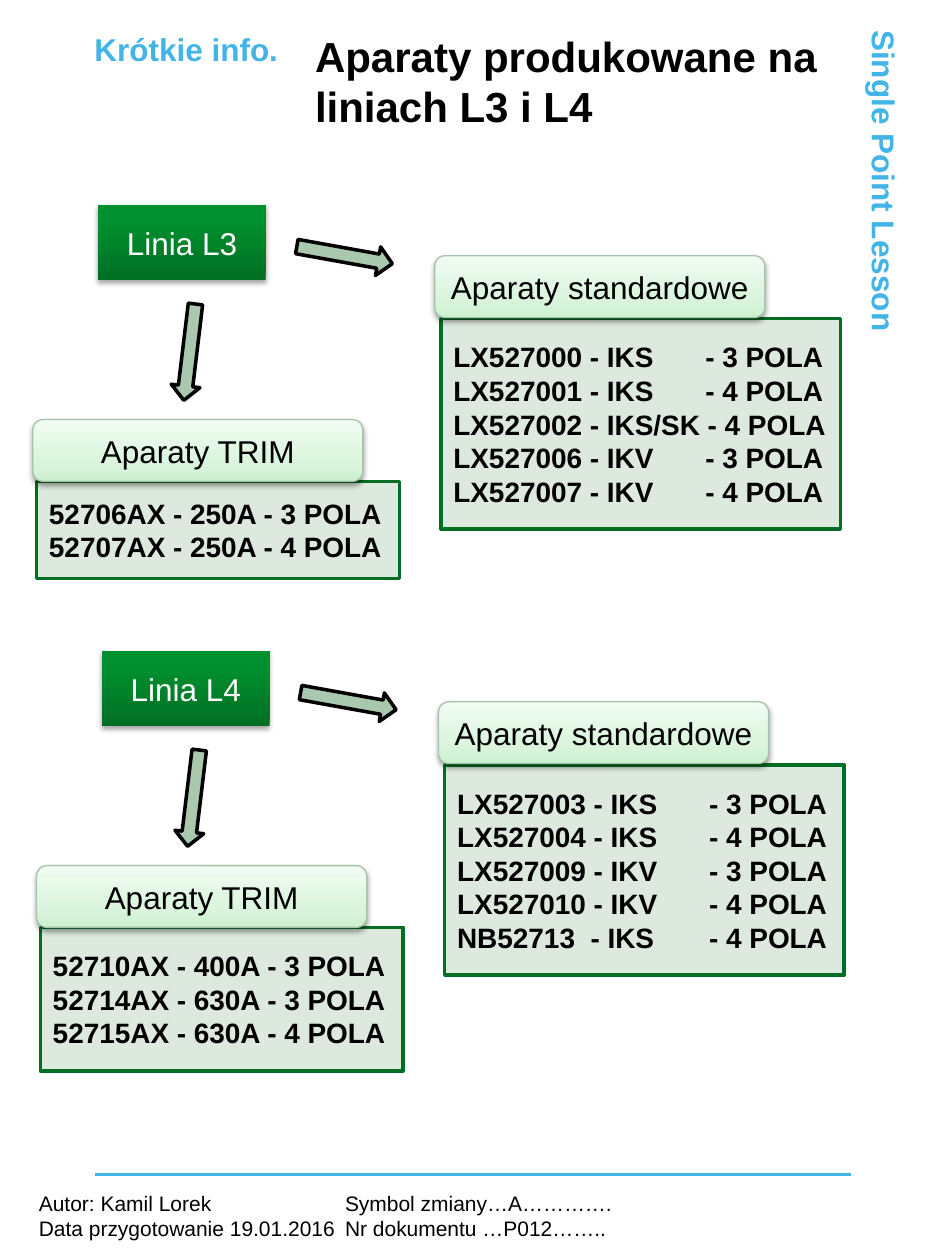
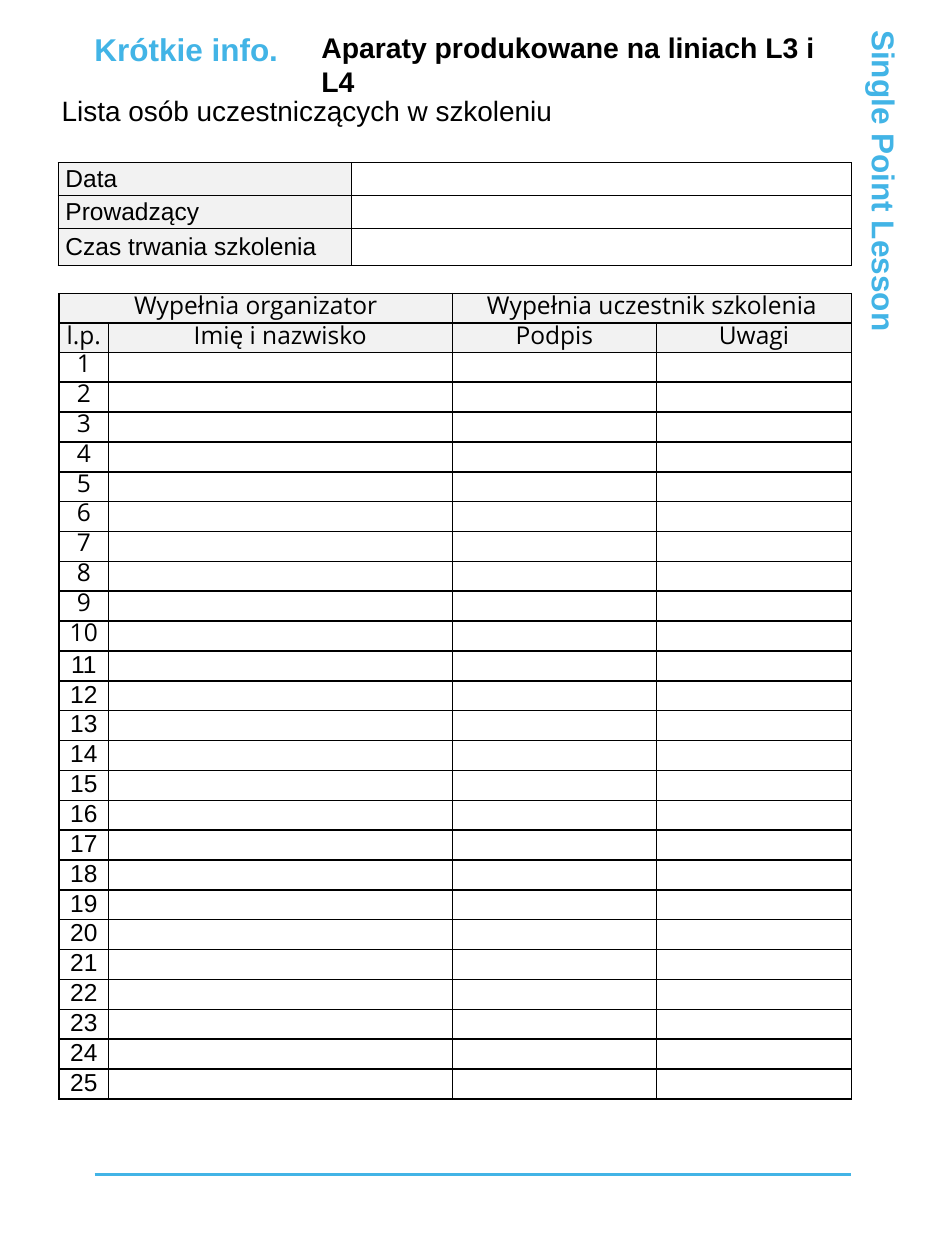
from copy import deepcopy
from dataclasses import dataclass

from lxml import etree
from pptx import Presentation
from pptx.dml.color import RGBColor
from pptx.enum.shapes import MSO_CONNECTOR, MSO_SHAPE, PP_PLACEHOLDER
from pptx.enum.text import MSO_ANCHOR, MSO_AUTO_SIZE, PP_ALIGN
from pptx.oxml.ns import qn
from pptx.util import Inches, Pt

RECT, ROUND, ARROW = (MSO_SHAPE.RECTANGLE, MSO_SHAPE.ROUNDED_RECTANGLE,
                      MSO_SHAPE.RIGHT_ARROW)
TITLE = PP_PLACEHOLDER.TITLE
LEFT, MID = PP_ALIGN.LEFT, PP_ALIGN.CENTER
TOP, CENTER = MSO_ANCHOR.TOP, MSO_ANCHOR.MIDDLE


@dataclass(frozen=True)
class Theme:
    font: str = "Arial"
    grid_font: str = "Open Sans"
    ink: str = "000000"
    white: str = "FFFFFF"
    sky: str = "42B4E6"
    edge: str = "006E24"
    pale: str = "DDE9DE"
    arrow: str = "AAC8AD"
    rim: str = "A6C4A9"
    gray: str = "F2F2F2"
    green: tuple = ((0, "006F24"), (80, "00902F"), (100, "00912F"))
    mint: tuple = ((0, "CEF1D1"), (35, "DCF5DE"), (100, "F1FCF2"))
    head: float = 24
    small_head: float = 16.2
    label: float = 18
    body: float = 16
    cell: float = 14
    foot: float = 12


T = Theme()
HEADING = "Aparaty produkowane na liniach L3 i L4"

# Each line: name, offset, TRIM box height, TRIM items, standard items
LINES = [
    ("Linia L3", 0, 0, 0.77,
     ["52706AX - 250A - 3 POLA", "52707AX - 250A - 4 POLA"],
     ["LX527000 - IKS \t- 3 POLA", "LX527001 - IKS \t- 4 POLA",
      "LX527002 - IKS/SK - 4 POLA", "LX527006 - IKV \t- 3 POLA",
      "LX527007 - IKV\t- 4 POLA"]),
    ("Linia L4", 0.03, 3.54, 1.14,
     ["52710AX - 400A - 3 POLA", "52714AX - 630A - 3 POLA",
      "52715AX - 630A - 4 POLA"],
     ["LX527003 - IKS \t- 3 POLA", "LX527004 - IKS \t- 4 POLA",
      "LX527009 - IKV \t- 3 POLA", "LX527010 - IKV \t- 4 POLA",
      "NB52713  - IKS\t- 4 POLA"]),
]


def rgb(code):
    return RGBColor.from_string(code)


def area(x, y, w, h):
    return Inches(x), Inches(y), Inches(w), Inches(h)


# Text
def write(frame, lines, size, color=T.ink, bold=False, align=LEFT,
          font=T.font):
    for i, line in enumerate(lines):
        para = frame.paragraphs[0] if i == 0 else frame.add_paragraph()
        para.alignment = align
        run = para.add_run()
        run.text = line
        run.font.name = font
        run.font.size = Pt(size)
        run.font.bold = bold
        run.font.color.rgb = rgb(color)


def inset(item, x=0, y=0):
    item.margin_left = item.margin_right = Inches(x)
    item.margin_top = item.margin_bottom = Inches(y)


def add_text(slide, box, lines, size, pad=0, **style):
    shape = slide.shapes.add_textbox(*area(*box))
    frame = shape.text_frame
    frame.word_wrap = True
    inset(frame, pad, pad / 2)
    write(frame, lines, size, **style)
    return shape


def set_title(slide, x, w, size):
    title = slide.shapes.title
    title.left, title.top, title.width, title.height = area(x, 0.24, w, 0.45)
    frame = title.text_frame
    frame.auto_size = MSO_AUTO_SIZE.NONE
    frame.vertical_anchor = TOP
    inset(frame)
    write(frame, [HEADING], size, bold=True)


# Shapes
def add_shape(slide, kind, box, fill=None, line=None, width=2):
    shape = slide.shapes.add_shape(kind, *area(*box))
    shape.shadow.inherit = False
    if fill:
        shape.fill.solid()
        shape.fill.fore_color.rgb = rgb(fill)
    if line:
        shape.line.color.rgb = rgb(line)
        shape.line.width = Pt(width)
    else:
        shape.line.fill.background()
    return shape


def shade(shape, stops):
    """Vertical gradient, first stop at the bottom."""
    shape.fill.gradient()
    shape.fill.gradient_angle = 90
    holder = shape.element.spPr.find(".//" + qn("a:gsLst"))
    for old in list(holder):
        holder.remove(old)
    for spot, code in stops:
        stop = etree.SubElement(holder, qn("a:gs"), pos=str(spot * 1000))
        etree.SubElement(stop, qn("a:srgbClr"), val=code)


def cast(shape, alpha):
    """Soft shadow below the shape."""
    effects = shape.element.spPr.find(qn("a:effectLst"))
    drop = etree.SubElement(
        effects, qn("a:outerShdw"), blurRad=str(Pt(3.1)), dist=str(Pt(1.7)),
        dir="5400000", rotWithShape="0")
    color = etree.SubElement(drop, qn("a:srgbClr"), val=T.ink)
    etree.SubElement(color, qn("a:alpha"), val=str(alpha * 1000))


def add_label(slide, kind, box, text, stops, color, line, alpha):
    shape = add_shape(slide, kind, box, line=line, width=0.75)
    shade(shape, stops)
    cast(shape, alpha)
    shape.text_frame.vertical_anchor = CENTER
    write(shape.text_frame, [text], T.label, color, align=MID)


def add_list(slide, x, y, w, h, head, items, shift, rise):
    """List box with its heading tab on top."""
    box = add_shape(slide, RECT, (x, y, w, h), T.pale, T.edge)
    box.text_frame.vertical_anchor = CENTER
    write(box.text_frame, items, T.body, bold=True)
    add_label(slide, ROUND, (x - shift, y - rise, 2.62, 0.49), head,
              T.mint, T.ink, T.rim, 38)


def add_arrow(slide, x, y, turn):
    arrow = add_shape(slide, ARROW, (x, y, 0.77, 0.23), T.arrow, T.ink)
    arrow.rotation = turn


def add_line(slide, name, dx, dy, deep, trim, plain):
    """One production line with its two lists."""
    add_list(slide, 3.5 + dx, 2.53 + dy, 3.17, 1.67,
             "Aparaty standardowe", plain, 0.05, 0.5)
    add_label(slide, RECT, (0.78 + dx, 1.63 + dy, 1.33, 0.59), name,
              T.green, T.white, None, 35)
    add_arrow(slide, 2.35 + dx, 1.91 + dy, 10.2)
    add_arrow(slide, 1.12 + dx, 2.68 + dy, 96.9)
    add_list(slide, 0.29 + dx, 3.82 + dy, 2.88, deep,
             "Aparaty TRIM", trim, 0.03, 0.49)


# Tables
def edge(cell, width):
    props = cell._tc.get_or_add_tcPr()
    for i, side in enumerate(("a:lnL", "a:lnR", "a:lnT", "a:lnB")):
        line = etree.Element(qn(side), w=str(Pt(width)))
        fill = etree.SubElement(line, qn("a:solidFill"))
        etree.SubElement(fill, qn("a:srgbClr"), val=T.ink)
        props.insert(i, line)


def add_table(slide, box, widths, heights, line, pad):
    """Plain ruled table with small empty cells."""
    frame = slide.shapes.add_table(len(heights), len(widths), *area(*box))
    table = frame.table
    table.first_row = table.horz_banding = False
    for col, width in zip(table.columns, widths):
        col.width = Inches(width)
    for row, height in zip(table.rows, heights):
        row.height = Inches(height)
    for cell in table.iter_cells():
        cell.fill.background()
        inset(cell, pad)
        edge(cell, line)
        para = cell.text_frame.paragraphs[0]
        etree.SubElement(para._p, qn("a:endParaRPr"),
                         sz=str(int(T.cell * 100)))
    return table


def fill_cell(cell, text, gray=True, **style):
    if gray:
        cell.fill.solid()
        cell.fill.fore_color.rgb = rgb(T.gray)
        cell.vertical_anchor = CENTER
    write(cell.text_frame, [text], T.cell, **style)


def add_facts(slide):
    table = add_table(slide, (0.46, 1.29, 6.3, 0.83), [2.33, 3.97],
                      [0.26, 0.26, 0.3], 0.5, 0.06)
    for i, text in enumerate(("Data", "Prowadzący",
                              "Czas trwania szkolenia")):
        fill_cell(table.cell(i, 0), text)


def add_roster(slide):
    count, high = 25, 6.3
    rows = count + 2
    table = add_table(slide, (0.47, 2.33, 6.3, high),
                      [0.39, 2.73, 1.62, 1.55], [high / rows] * rows, 1, 0.04)
    style = {"align": MID, "font": T.grid_font}
    for col, text in ((0, "Wypełnia organizator"),
                      (2, "Wypełnia uczestnik szkolenia")):
        table.cell(0, col).merge(table.cell(0, col + 1))
        fill_cell(table.cell(0, col), text, **style)
    for col, text in enumerate(("l.p.", "Imię i nazwisko", "Podpis",
                                "Uwagi")):
        fill_cell(table.cell(1, col), text, **style)
    for num in range(1, count + 1):
        font = T.grid_font if num <= 10 else T.font
        fill_cell(table.cell(num + 1, 0), str(num), gray=False,
                  align=MID, font=font)
    # Fixed line height keeps the rows equal
    for cell in table.iter_cells():
        cell.text_frame.paragraphs[0].line_spacing = Pt(15.7)


# Shared frame, kept on the layout
def set_frame(layout, slide):
    for spot in list(layout.placeholders):
        if spot.placeholder_format.type != TITLE:
            spot.element.getparent().remove(spot.element)
    style = {"color": T.sky, "bold": True}
    tag = add_text(slide, (0.75, 0.24, 2.76, 0.3), ["Krótkie info."],
                   T.label, **style)
    side = add_text(slide, (4.11, 3, 5.82, 0.3), ["Single Point Lesson"],
                    T.label, **style)
    side.rotation = 90
    rule = slide.shapes.add_connector(
        MSO_CONNECTOR.STRAIGHT, Inches(0.75), Inches(9.32), Inches(6.75),
        Inches(9.32))
    rule.line.color.rgb = rgb(T.sky)
    rule.line.width = Pt(1.5)
    etree.SubElement(rule.element.spPr, qn("a:effectLst"))
    for shape in (tag, side, rule):
        layout.shapes.element.append(deepcopy(shape.element))
        shape.element.getparent().remove(shape.element)


def add_foot(slide):
    foot = add_text(slide, (0.21, 9.4, 5.35, 0.5),
                    ["Autor: Kamil Lorek\tSymbol zmiany…A………….",
                     "Data przygotowanie 19.01.2016\tNr dokumentu …P012…….."],
                    T.foot, pad=0.1)
    for para in foot.text_frame.paragraphs:
        tabs = etree.SubElement(para._p.get_or_add_pPr(), qn("a:tabLst"))
        etree.SubElement(tabs, qn("a:tab"), pos=str(Inches(2.43)), algn="l")


def main():
    deck = Presentation()
    deck.slide_width, deck.slide_height = Inches(7.5), Inches(10)
    layout = deck.slide_layouts[5]

    # Slide 1: lines and their devices
    lines = deck.slides.add_slide(layout)
    set_frame(layout, lines)
    set_title(lines, 2.5, 4.25, T.head)
    for entry in LINES:
        add_line(lines, *entry)
    add_foot(lines)

    # Slide 2: attendance list
    roster = deck.slides.add_slide(layout)
    set_title(roster, 2.55, 4.2, T.small_head)
    add_roster(roster)
    add_facts(roster)
    add_text(roster, (0.49, 0.74, 6.1, 0.37),
             ["Lista osób uczestniczących w szkoleniu"], T.body)
    deck.save("out.pptx")


main()
